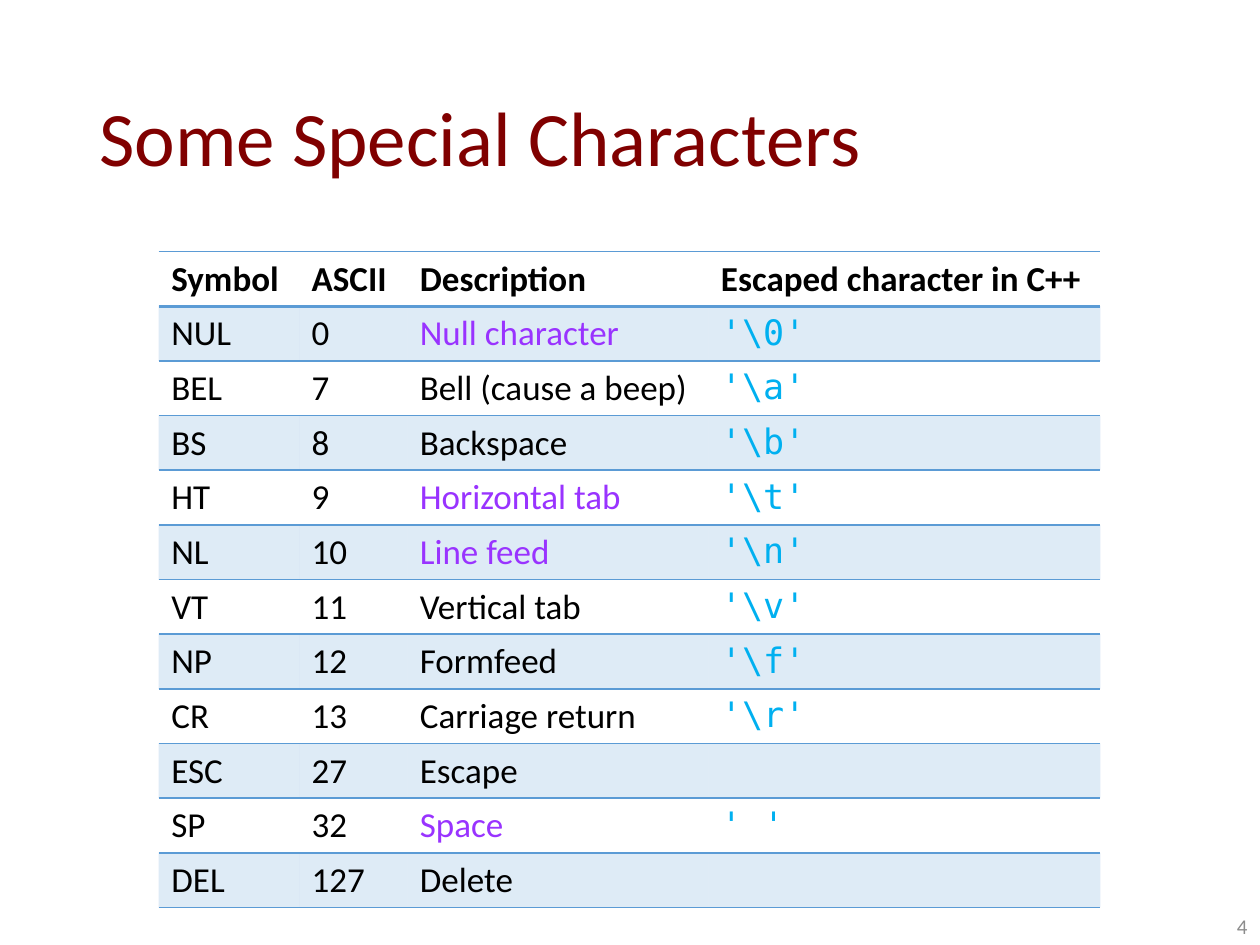
import dataclasses

import pptx
import pptx.dml.color
import pptx.enum.text
import pptx.oxml
import pptx.oxml.ns
import pptx.util
from lxml import etree

Cm = pptx.util.Cm
Pt = pptx.util.Pt
Anchor = pptx.enum.text.MSO_ANCHOR
Align = pptx.enum.text.PP_ALIGN
qn = pptx.oxml.ns.qn


@dataclasses.dataclass(frozen=True)
class Theme:
    body_font: str = "Calibri"
    code_font: str = "DejaVu Sans Mono"
    title_size: int = 44
    table_size: int = 20
    number_size: int = 12
    title: str = "800000"
    text: str = "000000"
    highlight: str = "9933FF"
    code: str = "00B0F0"
    accent: str = "5B9BD5"
    number: str = "8C8C8C"
    band_opacity: int = 20
    rule: int = 1
    header_rule: int = 2


class SlideBuilder:
    def __init__(self, slide, theme):
        self.slide = slide
        self.theme = theme

    def add_run(self, paragraph, text, size, color, font=None, bold=False):
        run = paragraph.add_run()
        run.text = text
        run.font.name = font or self.theme.body_font
        run.font.size = Pt(size)
        run.font.bold = bold
        run.font.color.rgb = pptx.dml.color.RGBColor.from_string(color)

    def add_text(self, box, text, size, color, anchor, align=Align.LEFT, spacing=1.0):
        frame = self.slide.shapes.add_textbox(*map(Cm, box)).text_frame
        frame.word_wrap = True
        frame.vertical_anchor = anchor
        paragraph = frame.paragraphs[0]
        paragraph.alignment = align
        paragraph.line_spacing = spacing
        self.add_run(paragraph, text, size, color)

    def set_borders(self, cell, top, bottom):
        """Rule the cell above and below, with open sides."""
        properties = cell._tc.get_or_add_tcPr()
        for side, width in (("L", 0), ("R", 0), ("T", top), ("B", bottom)):
            line = etree.SubElement(properties, qn(f"a:ln{side}"), w=str(Pt(width)))
            if width:
                fill = etree.SubElement(line, qn("a:solidFill"))
                etree.SubElement(fill, qn("a:srgbClr"), val=self.theme.accent)
            else:
                etree.SubElement(line, qn("a:noFill"))

    def set_band(self, cell, banded):
        if not banded:
            cell.fill.background()
            return
        cell.fill.solid()
        cell.fill.fore_color.rgb = pptx.dml.color.RGBColor.from_string(self.theme.accent)
        color = cell._tc.tcPr.find(qn("a:solidFill"))[0]
        etree.SubElement(color, qn("a:alpha"), val=str(self.theme.band_opacity * 1000))

    def add_table(self, left, top, widths, row_height, header, rows, highlighted):
        theme = self.theme
        lines = [header, *rows]
        table = self.slide.shapes.add_table(
            len(lines), len(header), Cm(left), Cm(top),
            Cm(sum(widths)), Cm(row_height * len(lines))).table
        table.first_row = table.horz_banding = False
        for column, width in zip(table.columns, widths):
            column.width = Cm(width)

        code_column = len(header) - 1
        for r, line in enumerate(lines):
            is_header = r == 0
            for c, text in enumerate(line):
                cell = table.cell(r, c)
                cell.vertical_anchor = Anchor.BOTTOM if is_header else Anchor.TOP
                self.set_borders(cell,
                                 theme.header_rule if r == 1 else theme.rule,
                                 theme.header_rule if is_header else theme.rule)
                self.set_band(cell, r % 2 == 1)
                is_code = c == code_column and not is_header
                color = (theme.code if is_code
                         else theme.highlight if text in highlighted else theme.text)
                if text:
                    self.add_run(cell.text_frame.paragraphs[0], text, theme.table_size,
                                 color, theme.code_font if is_code else None, is_header)


HEADER = ("Symbol", "ASCII", "Description", "Escaped character in C++")
CHARACTERS = (
    ("NUL", "0", "Null character", r"'\0'"),
    ("BEL", "7", "Bell (cause a beep)", r"'\a'"),
    ("BS", "8", "Backspace", r"'\b'"),
    ("HT", "9", "Horizontal tab", r"'\t'"),
    ("NL", "10", "Line feed", r"'\n'"),
    ("VT", "11", "Vertical tab", r"'\v'"),
    ("NP", "12", "Formfeed", r"'\f'"),
    ("CR", "13", "Carriage return", r"'\r'"),
    ("ESC", "27", "Escape", ""),
    ("SP", "32", "Space", "' '"),
    ("DEL", "127", "Delete", ""),
)
COMMON = {"Null character", "Horizontal tab", "Line feed", "Space"}


def main():
    deck = pptx.Presentation()
    deck.slide_width, deck.slide_height = Cm(25.4), Cm(19.05)
    theme = Theme()
    builder = SlideBuilder(deck.slides.add_slide(deck.slide_layouts[6]), theme)

    # Title
    builder.add_text((1.75, 1.01, 21.9, 3.68), "Some Special Characters",
                     theme.title_size, theme.title, Anchor.MIDDLE, spacing=0.9)

    # Table of special characters
    builder.add_table(3.2, 5.07, (2.83, 2.18, 6.07, 7.9), 1.04,
                      HEADER, CHARACTERS, COMMON)

    # Slide number
    builder.add_text((19.69, 18.03, 5.71, 1.02), "4", theme.number_size,
                     theme.number, Anchor.BOTTOM, Align.RIGHT)

    deck.save("out.pptx")


if __name__ == "__main__":
    main()
